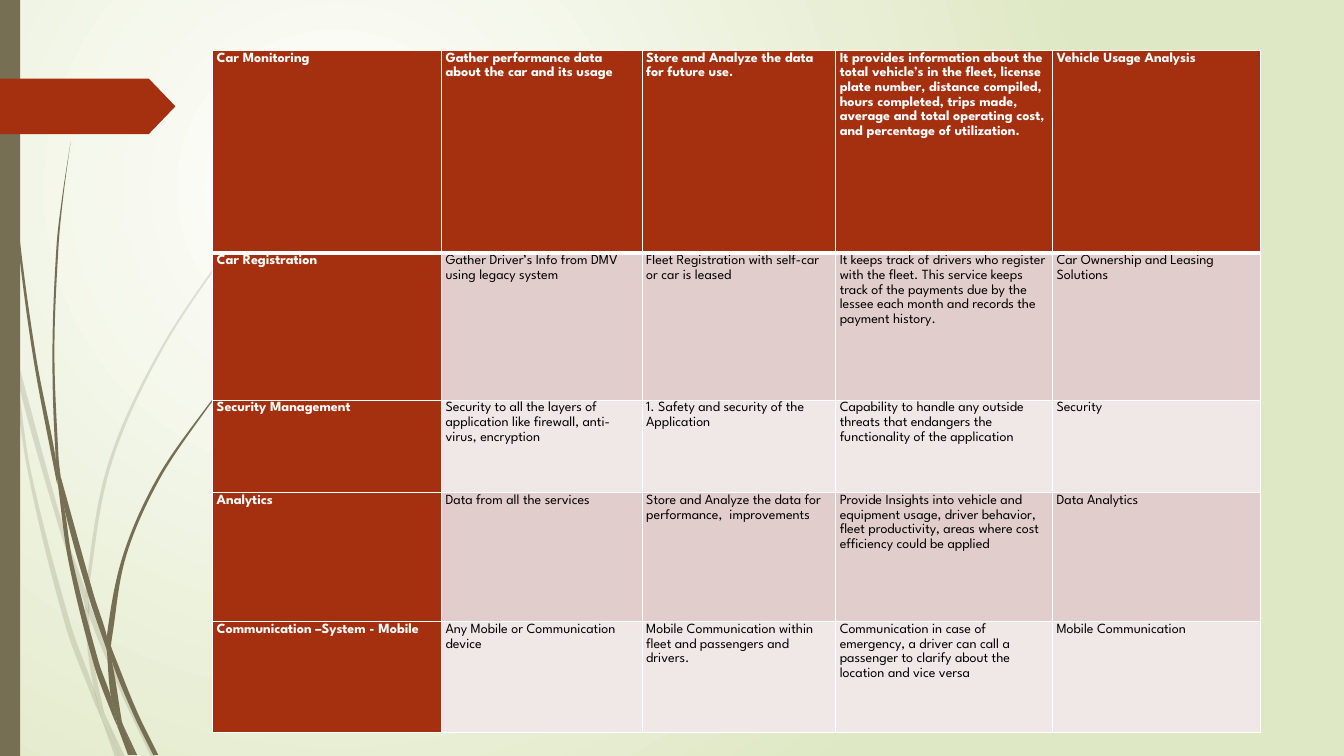
import pptx
import pptx.util
import pptx.dml.color
import pptx.enum.shapes
import pptx.enum.text
from lxml import etree
from pptx.oxml.ns import qn
from pptx.util import Inches

FONT = "League Spartan"
OLIVE, RUST, WHITE, BLACK = "766F54", "A53010", "FFFFFF", "000000"
BANDS = ["E1CDCC", "F0E8E7"]

# Each blade has two edges, as (x, y) from top to bottom
PALE_BLADES = [
    ([(0, 2.82), (0.09, 3.22), (0.11, 3.5)], [(0, 2.99), (0.1, 3.44), (0.11, 3.5)]),
    ([(0.14, 3.45), (0.17, 3.76), (0.58, 5.22), (0.84, 5.99)],
     [(0.14, 3.45), (0.62, 5.2), (0.85, 5.86)]),
    ([(0.88, 5.96), (0.88, 6.1), (1.23, 6.94), (1.5, 7.51)],
     [(0.88, 5.96), (0.92, 6.07), (1.27, 6.92), (1.55, 7.51)]),
    ([(1.05, 7.11), (1.19, 7.51)], [(1.05, 7.11), (1.24, 7.51)]),
    ([(0.11, 3.5), (0.28, 4.7), (0.65, 6.21), (0.92, 6.93), (1.01, 7.14)],
     [(0.11, 3.5), (0.17, 3.76), (0.31, 4.69), (0.7, 6.19), (0.93, 6.83), (1.01, 7.14)]),
    ([(0.84, 5.99), (0.87, 6.46), (0.93, 6.83), (0.96, 6.92), (1.05, 7.11)],
     [(0.84, 5.99), (0.88, 6.1), (0.91, 6.46), (1.03, 7.06), (1.05, 7.11)]),
    ([(3.12, 1.53), (2.89, 1.75), (2.68, 1.97), (2.28, 2.44), (1.58, 3.48),
      (1.07, 4.61), (0.85, 5.84), (0.88, 5.96)],
     [(3.12, 1.54), (2.9, 1.75), (2.68, 1.98), (2.29, 2.45), (1.6, 3.49),
      (1.1, 4.62), (0.88, 5.84), (0.88, 5.96)]),
    ([(1.01, 7.14), (1.14, 7.51)], [(1.01, 7.14), (1.19, 7.51)]),
    ([(0.85, 5.86), (0.84, 5.99), (0.88, 6.1)], [(0.85, 5.86), (0.88, 5.96), (0.88, 6.1)]),
    ([(0.93, 6.83), (0.99, 7.07), (1.01, 7.14), (1.19, 7.51)],
     [(0.93, 6.83), (0.96, 6.92), (1.05, 7.11), (1.19, 7.51)]),
]
DARK_BLADES = [
    ([(0.03, 0), (0.07, 1.1), (0.17, 2.33), (0.33, 3.55), (0.56, 4.77), (0.57, 4.81)],
     [(0.04, 0), (0.08, 1.09), (0.19, 2.32), (0.36, 3.55), (0.55, 4.53), (0.57, 4.81)]),
    ([(0.6, 4.72), (0.64, 5.05), (0.88, 5.92), (1.06, 6.45)],
     [(0.6, 4.72), (0.93, 5.9), (1.06, 6.31), (1.06, 6.45)]),
    ([(1.1, 6.41), (1.11, 6.56), (1.32, 7.08), (1.52, 7.49)],
     [(1.1, 6.41), (1.13, 6.49), (1.36, 7.06), (1.57, 7.49)]),
    ([(0.57, 4.77), (0.68, 5.57), (0.93, 6.59), (1.11, 7.08), (1.17, 7.22)],
     [(0.57, 4.77), (0.64, 5.05), (0.72, 5.56), (0.98, 6.57), (1.1, 6.91), (1.17, 7.22)]),
    ([(0.7, 1.41), (0.62, 1.93), (0.56, 2.45), (0.52, 3.49), (0.55, 4.49), (0.6, 4.72)],
     [(0.7, 1.41), (0.63, 1.93), (0.58, 2.45), (0.54, 3.49), (0.58, 4.53), (0.6, 4.72)]),
    ([(1.22, 7.19), (1.33, 7.49)], [(1.22, 7.19), (1.36, 7.49)]),
    ([(0.55, 4.49), (0.57, 4.77), (0.64, 5.05)], [(0.55, 4.49), (0.6, 4.72), (0.64, 5.05)]),
    ([(2.6, 3.44), (2.31, 3.73), (2.04, 4.05), (1.56, 4.74), (1.22, 5.51),
      (1.06, 6.31), (1.1, 6.41)],
     [(2.61, 3.44), (2.31, 3.74), (2.05, 4.06), (1.58, 4.76), (1.25, 5.52),
      (1.11, 6.33), (1.1, 6.41)]),
    ([(1.17, 7.22), (1.27, 7.49)], [(1.17, 7.22), (1.31, 7.49)]),
    ([(1.06, 6.45), (1.1, 6.91), (1.16, 7.06), (1.22, 7.19)],
     [(1.06, 6.45), (1.11, 6.56), (1.21, 7.16), (1.22, 7.19)]),
    ([(1.06, 6.31), (1.06, 6.45), (1.11, 6.56)], [(1.06, 6.31), (1.1, 6.41), (1.11, 6.56)]),
    ([(1.1, 6.91), (1.16, 7.17), (1.17, 7.22), (1.3, 7.49)],
     [(1.1, 6.91), (1.16, 7.06), (1.22, 7.19), (1.33, 7.49)]),
]

COLUMN_WIDTHS = [2.27, 1.99, 1.92, 2.15, 2.06]
ROW_HEIGHTS = [2.01, 1.46, 0.92, 1.28, 1.1]
SERVICES = [
    ["Car Monitoring", "Gather performance data about the car and its usage",
     "Store and Analyze the data for future use.",
     "It provides information about the total vehicle’s in the fleet, license plate "
     "number, distance compiled, hours completed, trips made, average and total "
     "operating cost, and percentage of utilization.", "Vehicle Usage Analysis"],
    ["Car Registration", "Gather Driver’s Info from DMV using legacy system",
     "Fleet Registration with self-car or car is leased",
     "It keeps track of drivers who register with the fleet. This service keeps track "
     "of the payments due by the lessee each month and records the payment history.",
     "Car Ownership and Leasing Solutions"],
    ["Security Management",
     "Security to all the layers of application like firewall, anti-virus, encryption",
     "1. Safety and security of the Application",
     "Capability to handle any outside threats that endangers the functionality of "
     "the application", "Security"],
    ["Analytics", "Data from all the services",
     "Store and Analyze the data for performance,  improvements",
     "Provide Insights into vehicle and equipment usage, driver behavior, fleet "
     "productivity, areas where cost efficiency could be applied", "Data Analytics"],
    ["Communication –System - Mobile", "Any Mobile or Communication device",
     "Mobile Communication within fleet and passengers and drivers.",
     "Communication in case of emergency, a driver can call a passenger to clarify "
     "about the location and vice versa", "Mobile Communication"],
]


def color(hex_text):
    return pptx.dml.color.RGBColor.from_string(hex_text)


def paint(shape, hex_text, opacity=100):
    shape.shadow.inherit = False
    shape.line.fill.background()
    shape.fill.solid()
    shape.fill.fore_color.rgb = color(hex_text)
    if opacity < 100:
        tint = shape.element.spPr.find(".//" + qn("a:srgbClr"))
        etree.SubElement(tint, qn("a:alpha"), val=str(opacity * 1000))


def set_background(page):
    fill = page.background.fill
    fill.gradient()
    for stop, hex_text in zip(fill.gradient_stops, [WHITE, "DFE8C4"]):
        stop.color.rgb = color(hex_text)
    gradient = page.element.find(".//" + qn("a:gradFill"))
    gradient.remove(gradient.find(qn("a:lin")))
    circle = etree.SubElement(gradient, qn("a:path"), path="circle")
    etree.SubElement(circle, qn("a:fillToRect"), l="50000", t="50000",
                     r="100000", b="100000")


def edge_slopes(edge):
    """Change of x per y at each point, from its neighbours."""
    before, after = edge[:1] + edge[:-1], edge[1:] + edge[-1:]
    return [(x1 - x0) / (y1 - y0) for (x0, y0), (x1, y1) in zip(before, after)]


def add_blade(page, down_edge, up_edge, opacity):
    # Points run down one edge and back up the other
    outline = [(x, y, slope, edge) for edge in (down_edge, up_edge)
               for (x, y), slope in zip(edge, edge_slopes(edge))]
    count = len(down_edge)
    outline = outline[:count] + outline[:count - 1:-1]
    points = [(Inches(x), Inches(y)) for x, y, slope, edge in outline]
    builder = page.shapes.build_freeform(*points[0])
    builder.add_line_segments(points[1:], close=True)
    blade = builder.convert_to_shape()
    paint(blade, OLIVE, opacity)

    # Bend the segments along each edge
    segments = blade.element.spPr.findall(".//" + qn("a:lnTo"))
    for segment, start, end in zip(segments, outline, outline[1:]):
        if start[3] is not end[3]:
            continue
        third = (end[1] - start[1]) / 3
        segment.tag = qn("a:cubicBezTo")
        for index, (point, reach) in enumerate([(start, third), (end, -third)]):
            x, y, slope, edge = point
            handle = etree.Element(qn("a:pt"), x=str(Inches(x + slope * reach) - blade.left),
                                   y=str(Inches(y + reach) - blade.top))
            segment.insert(index, handle)


def add_block(page, kind, left, top, width, height, hex_text):
    block = page.shapes.add_shape(kind, Inches(left), Inches(top),
                                  Inches(width), Inches(height))
    paint(block, hex_text)
    return block


def set_borders(cell, widths):
    properties = cell._tc.get_or_add_tcPr()
    for side, points in zip("LRTB", widths):
        line = etree.SubElement(properties, qn("a:ln" + side), w=str(points * 12700))
        solid = etree.SubElement(line, qn("a:solidFill"))
        etree.SubElement(solid, qn("a:srgbClr"), val=WHITE)


def fill_cell(cell, text, row, column):
    heading = row == 0 or column == 0
    set_borders(cell, [1, 1, 3 if row == 1 else 1, 3 if row == 0 else 1])
    cell.fill.solid()
    cell.fill.fore_color.rgb = color(RUST if heading else BANDS[(row - 1) % 2])
    cell.margin_left = cell.margin_right = Inches(0.04)
    cell.margin_top = cell.margin_bottom = 0
    cell.vertical_anchor = pptx.enum.text.MSO_ANCHOR.TOP
    cell.text_frame.text = text
    para = cell.text_frame.paragraphs[0]
    para.line_spacing = 1.15
    font = para.runs[0].font
    font.name, font.size, font.bold = FONT, pptx.util.Pt(10), heading
    font.color.rgb = color(WHITE if heading else BLACK)


def add_service_table(page):
    table = page.shapes.add_table(len(ROW_HEIGHTS), len(COLUMN_WIDTHS), Inches(2.11),
                                  Inches(0.5), Inches(sum(COLUMN_WIDTHS)),
                                  Inches(sum(ROW_HEIGHTS))).table
    for column, width in zip(table.columns, COLUMN_WIDTHS):
        column.width = Inches(width)
    for row, height in zip(table.rows, ROW_HEIGHTS):
        row.height = Inches(height)
    for row, texts in enumerate(SERVICES):
        for column, text in enumerate(texts):
            fill_cell(table.cell(row, column), text, row, column)


def main():
    deck = pptx.Presentation()
    deck.slide_width, deck.slide_height = Inches(13.33), Inches(7.5)
    page = deck.slides.add_slide(deck.slide_layouts[6])
    set_background(page)
    # Grass blades, side bar and tag
    for blades, opacity in [(PALE_BLADES, 20), (DARK_BLADES, 100)]:
        for down_edge, up_edge in blades:
            add_blade(page, down_edge, up_edge, opacity)
    kinds = pptx.enum.shapes.MSO_SHAPE
    add_block(page, kinds.RECTANGLE, 0, 0, 0.2, 7.5, OLIVE)
    tag = add_block(page, kinds.PENTAGON, 0, 0.78, 1.74, 0.55, RUST)
    tag.adjustments[0] = 0.48
    # Services
    add_service_table(page)
    deck.save("out.pptx")


main()
